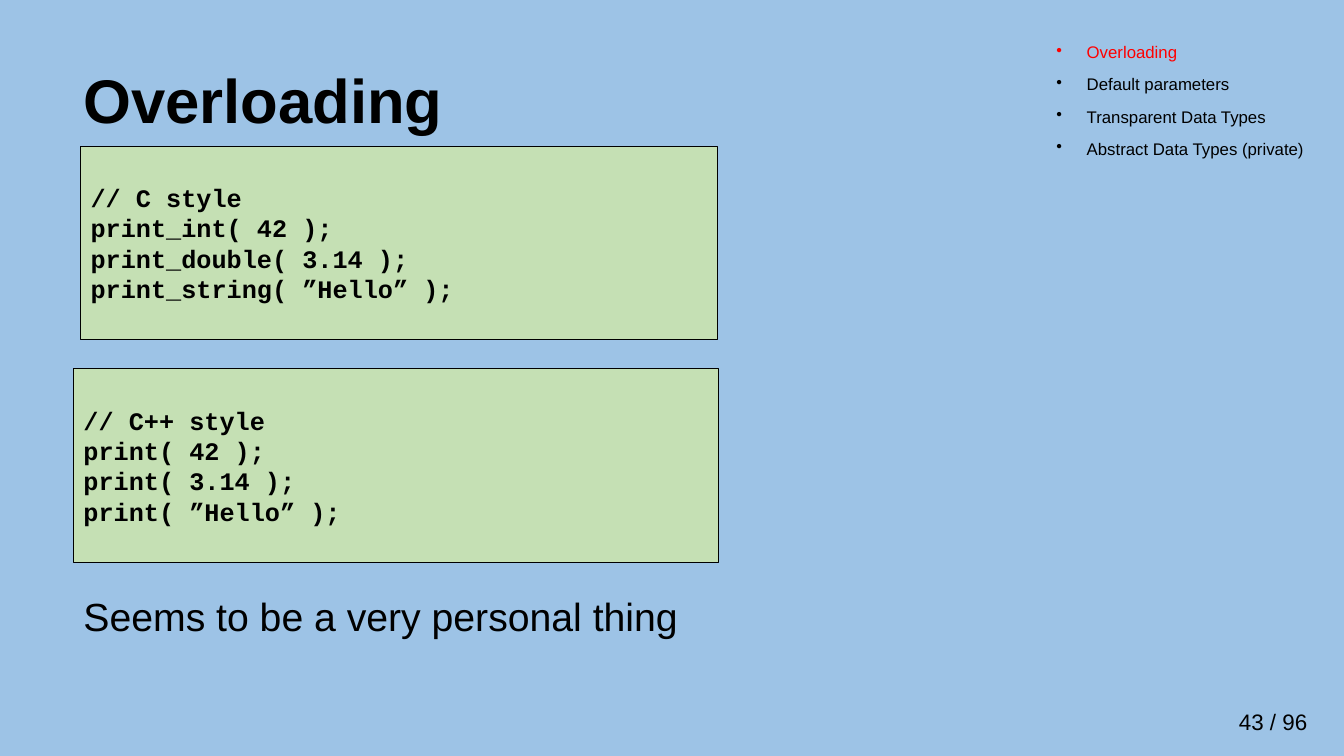
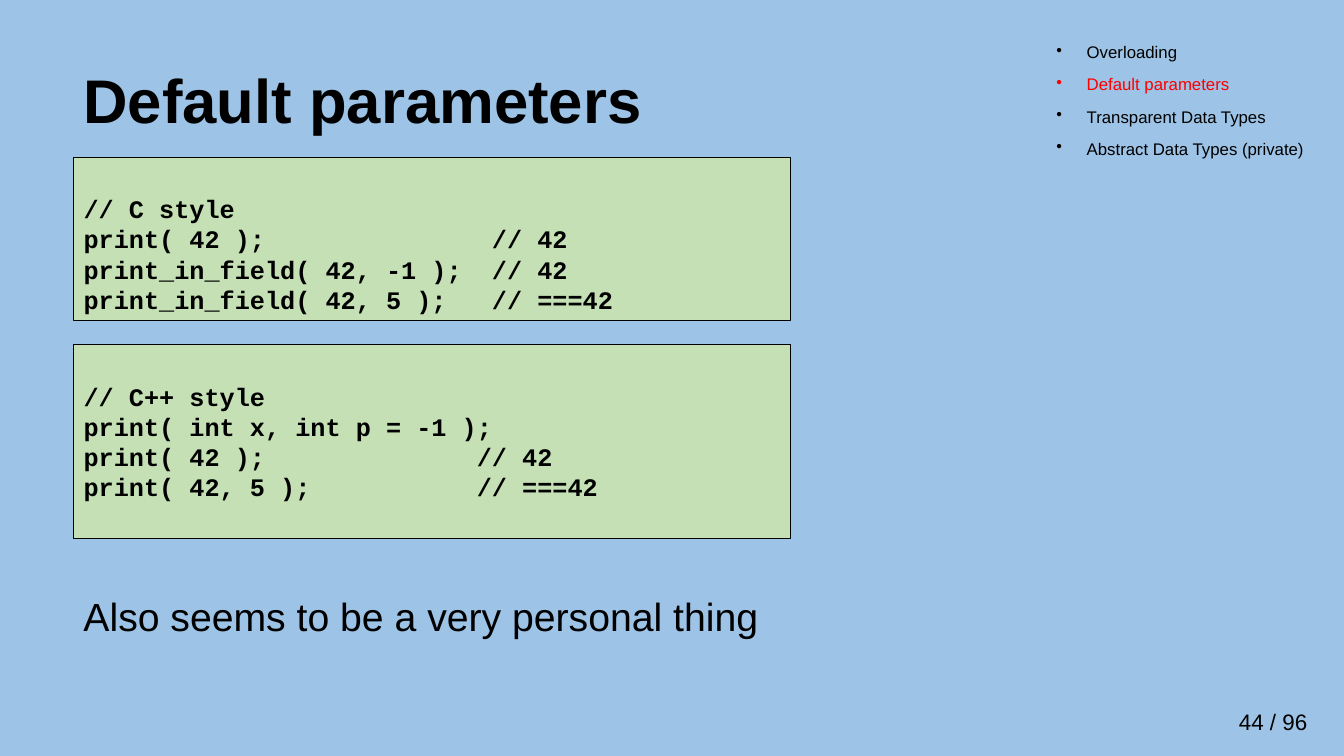
import pptx
import pptx.dml.color
import pptx.enum.shapes
import pptx.enum.text
import pptx.util
from pptx.util import Inches
import lxml.etree

BACKGROUND = "9DC3E6"
CODE_FILL = "C5E0B4"
BLACK = "000000"
HIGHLIGHT = "FF0000"
TOPICS = [
    "Overloading",
    "Default parameters",
    "Transparent Data Types",
    "Abstract Data Types (private)",
]
PAGE_COUNT = 96
LEFT = 0.73


def color(value):
    return pptx.dml.color.RGBColor.from_string(value)


def write_text(shape, lines, size, font_name="Arial", bold=False, line_spacing=None,
               top_inset=0.05, anchor=pptx.enum.text.MSO_ANCHOR.TOP):
    frame = shape.text_frame
    frame.word_wrap = True
    frame.margin_top = Inches(top_inset)
    frame.vertical_anchor = anchor
    frame.text = "\n".join(lines)
    for paragraph in frame.paragraphs:
        paragraph.alignment = pptx.enum.text.PP_ALIGN.LEFT
        paragraph.line_spacing = line_spacing
        paragraph.font.name = font_name
        paragraph.font.size = pptx.util.Pt(size)
        paragraph.font.bold = bold
        paragraph.font.color.rgb = color(BLACK)
    return frame.paragraphs


pages = [
    {
        "number": 43,
        "title": "Overloading",
        "remark": "Seems to be a very personal thing",
        "listings": [
            (0.8, 1.45, 6.32, 1.92, [
                "// C style",
                "print_int( 42 );",
                "print_double( 3.14 );",
                "print_string( ”Hello” );",
            ]),
            (LEFT, 3.66, 6.4, 1.92, [
                "// C++ style",
                "print( 42 );",
                "print( 3.14 );",
                "print( ”Hello” );",
            ]),
        ],
    },
    {
        "number": 44,
        "title": "Default parameters",
        "remark": "Also seems to be a very personal thing",
        "listings": [
            (LEFT, 1.56, 7.11, 1.62, [
                "// C style",
                "print( 42 );               // 42",
                "print_in_field( 42, -1 );  // 42",
                "print_in_field( 42, 5 );   // ===42",
            ]),
            (LEFT, 3.42, 7.11, 1.92, [
                "// C++ style",
                "print( int x, int p = -1 );",
                "print( 42 );              // 42",
                "print( 42, 5 );           // ===42",
            ]),
        ],
    },
]

presentation = pptx.Presentation()
presentation.slide_width = Inches(13.33)
presentation.slide_height = Inches(7.5)
master_fill = presentation.slide_master.background.fill
master_fill.solid()
master_fill.fore_color.rgb = color(BACKGROUND)

for page in pages:
    slide = presentation.slides.add_slide(presentation.slide_layouts[6])
    shapes = slide.shapes

    page_number = shapes.add_textbox(Inches(12.19), Inches(6.98), Inches(1.14), Inches(0.37))
    write_text(page_number, [f"{page['number']} / {PAGE_COUNT}"], 16)

    title = shapes.add_textbox(Inches(LEFT), Inches(0.3), Inches(11.5), Inches(1.45))
    write_text(title, [page["title"]], 44, bold=True, line_spacing=0.9,
               anchor=pptx.enum.text.MSO_ANCHOR.MIDDLE)

    remark = shapes.add_textbox(Inches(LEFT), Inches(5.88), Inches(12.44), Inches(0.72))
    write_text(remark, [page["remark"]], 28, line_spacing=0.9)

    for left, top, width, height, code in page["listings"]:
        listing = shapes.add_shape(pptx.enum.shapes.MSO_SHAPE.RECTANGLE,
                                   Inches(left), Inches(top), Inches(width), Inches(height))
        listing.shadow.inherit = False
        listing.fill.solid()
        listing.fill.fore_color.rgb = color(CODE_FILL)
        listing.line.color.rgb = color(BLACK)
        listing.line.width = pptx.util.Pt(0.75)
        write_text(listing, code, 18, "Courier New", bold=True, top_inset=0.36)

    agenda = shapes.add_textbox(Inches(10.38), Inches(0.06), Inches(2.93), Inches(1.94))
    for index, paragraph in enumerate(write_text(agenda, TOPICS, 12, line_spacing=0.9, top_inset=0.38)):
        if index > 0:
            paragraph.space_before = pptx.util.Pt(10)
        properties = paragraph._p.get_or_add_pPr()
        properties.set("marL", str(Inches(0.3)))
        properties.set("indent", str(-Inches(0.3)))
        bullet = lxml.etree.Element(pptx.oxml.ns.qn("a:buChar"), char="•")
        properties.find(pptx.oxml.ns.qn("a:defRPr")).addprevious(bullet)
        if TOPICS[index] == page["title"]:
            paragraph.runs[0].font.color.rgb = color(HIGHLIGHT)

presentation.save("out.pptx")
